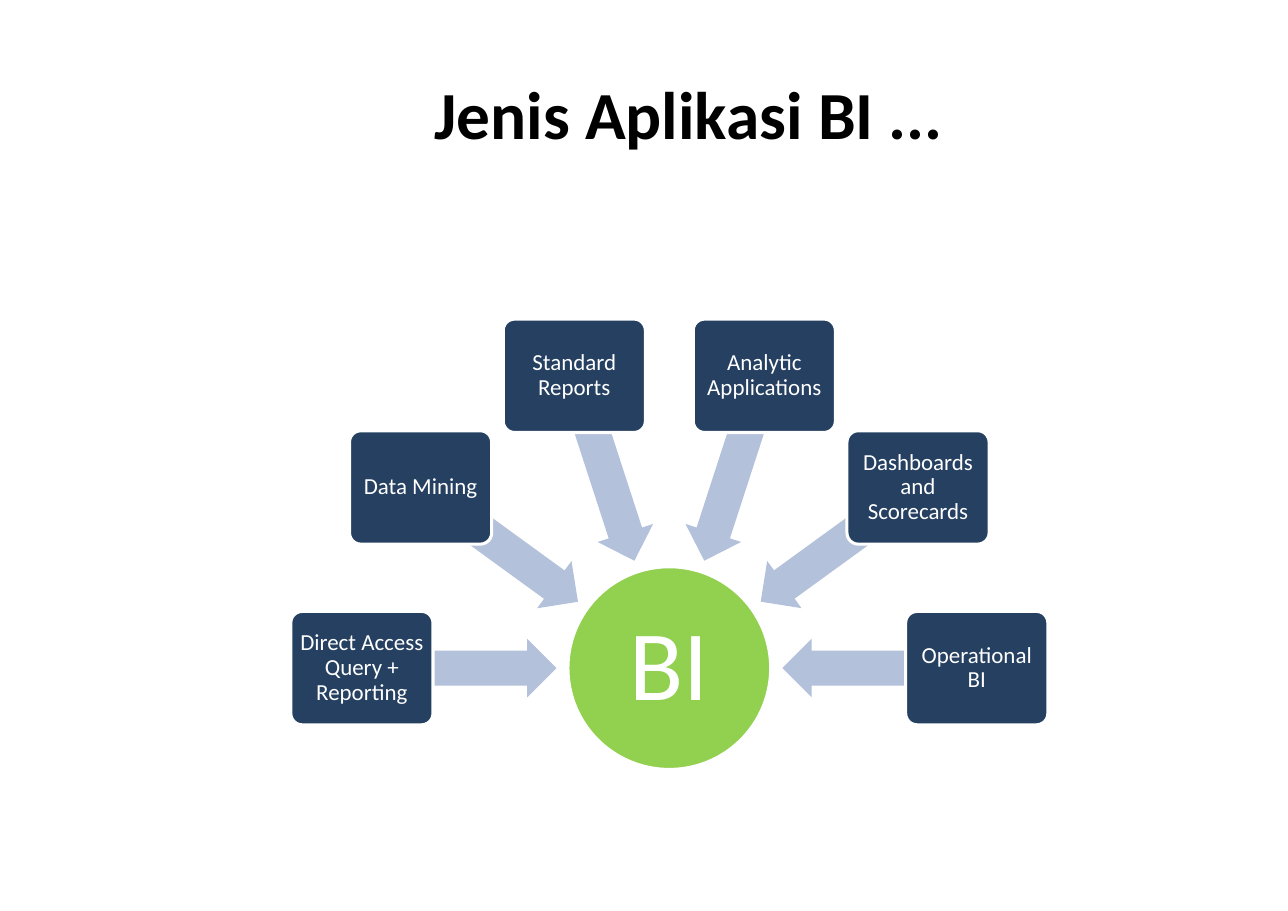
"""Build the slide of BI application types arranged around a hub."""
from dataclasses import dataclass
from math import cos, radians, sin

from pptx import Presentation
from pptx.dml.color import RGBColor
from pptx.enum.shapes import MSO_SHAPE
from pptx.enum.text import MSO_ANCHOR, PP_ALIGN
from pptx.util import Inches, Pt

ELLIPSE = MSO_SHAPE.OVAL
ROUNDED = MSO_SHAPE.ROUNDED_RECTANGLE
ARROW = MSO_SHAPE.LEFT_ARROW
MIDDLE = MSO_ANCHOR.MIDDLE
CENTER = PP_ALIGN.CENTER

WIDTH, HEIGHT = Inches(11.69), Inches(8.27)
COLUMN, ROW = WIDTH / 100, HEIGHT / 100
FONT = "Calibri"
WHITE, BLACK = "FFFFFF", "000000"
GREEN, NAVY, PALE_BLUE = "92D050", "254061", "B3C1DB"

HUB_X, HUB_Y = 51.97 * COLUMN, 73.34 * ROW
BOX_RADIUS, ARROW_RADIUS = 23.87 * COLUMN, 16.34 * COLUMN
APPLICATIONS = [
    "Direct Access Query + Reporting",
    "Data Mining",
    "Standard Reports",
    "Analytic Applications",
    "Dashboards and Scorecards",
    "Operational BI",
]


@dataclass(frozen=True)
class Style:
    """Preset, size in columns and rows, fill and text settings of a shape."""
    preset: int
    columns: float
    rows: float
    fill: str
    outlined: bool = True
    adjustments: tuple[float, ...] = ()
    font_size: float = 15
    inset: float = 0.03


HUB = Style(ELLIPSE, 15.74, 22.25, GREEN, font_size=65, inset=0.05)
BOX = Style(ROUNDED, 11.04, 12.45, NAVY, adjustments=(0.1,))
POINTER = Style(ARROW, 15.14, 6.41, PALE_BLUE, outlined=False, adjustments=(0.6, 0.5))


def color(value: str) -> RGBColor:
    """Turn a hex string into a colour."""
    return RGBColor.from_string(value)


def write(shape, text: str, size: float, tint: str, margins: tuple[float, float]) -> None:
    """Write one centred paragraph into a shape."""
    frame = shape.text_frame
    frame.word_wrap = True
    frame.vertical_anchor = MIDDLE
    frame.margin_left = frame.margin_right = Inches(margins[0])
    frame.margin_top = frame.margin_bottom = Inches(margins[1])
    paragraph = frame.paragraphs[0]
    paragraph.text = text
    paragraph.alignment = CENTER
    paragraph.font.name = FONT
    paragraph.font.size = Pt(size)
    paragraph.font.color.rgb = color(tint)


def draw(slide, style: Style, radius: float = 0, angle: float = 0, text: str = ""):
    """Draw a styled shape centred at a polar position around the hub."""
    width, height = style.columns * COLUMN, style.rows * ROW
    left = HUB_X + radius * cos(radians(angle)) - width / 2
    top = HUB_Y + radius * sin(radians(angle)) - height / 2
    shape = slide.shapes.add_shape(
        style.preset, round(left), round(top), round(width), round(height))
    shape.shadow.inherit = False
    shape.fill.solid()
    shape.fill.fore_color.rgb = color(style.fill)
    if style.outlined:
        shape.line.color.rgb = color(WHITE)
        shape.line.width = Pt(2)
    else:
        shape.line.fill.background()
    for index, value in enumerate(style.adjustments):
        shape.adjustments[index] = value
    if text:
        write(shape, text, style.font_size, WHITE, (style.inset, style.inset))
        shape.text_frame.paragraphs[0].line_spacing = 0.9
    return shape


def add_title(slide) -> None:
    """Place and format the title."""
    title = slide.shapes.title
    title.left, title.top = round(12.06 * COLUMN), round(4 * ROW)
    title.width, title.height = round(82.89 * COLUMN), round(16.69 * ROW)
    write(title, "Jenis Aplikasi BI ...", 44, BLACK, (0.11, 0.06))
    title.text_frame.paragraphs[0].font.bold = True


def main() -> None:
    """Build and save the presentation."""
    presentation = Presentation()
    presentation.slide_width, presentation.slide_height = WIDTH, HEIGHT
    slide = presentation.slides.add_slide(presentation.slide_layouts[5])
    add_title(slide)
    draw(slide, HUB, text="BI")
    step = 180 / (len(APPLICATIONS) - 1)
    for index, application in enumerate(APPLICATIONS):
        angle = 180 + index * step
        pointer = draw(slide, POINTER, ARROW_RADIUS, angle)
        pointer.rotation = angle % 360
        draw(slide, BOX, BOX_RADIUS, angle, application)
    presentation.save("out.pptx")


if __name__ == "__main__":
    main()
